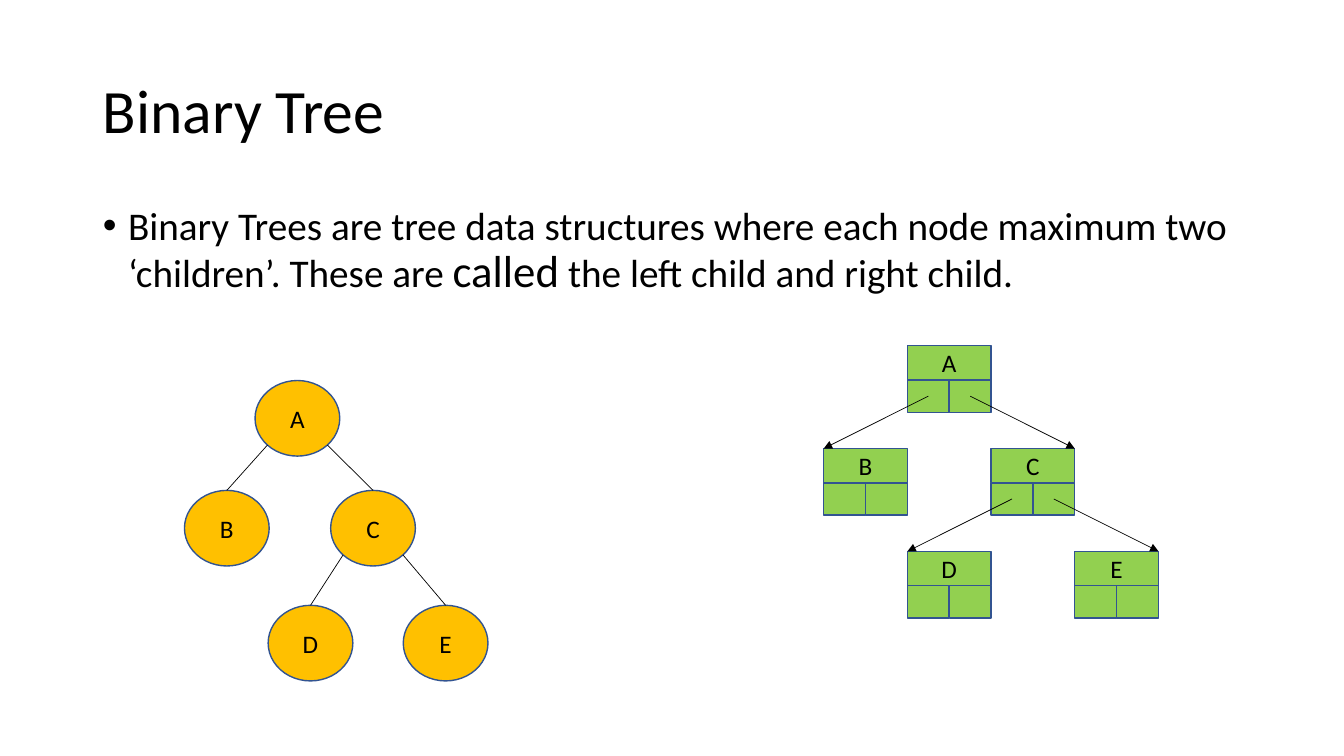
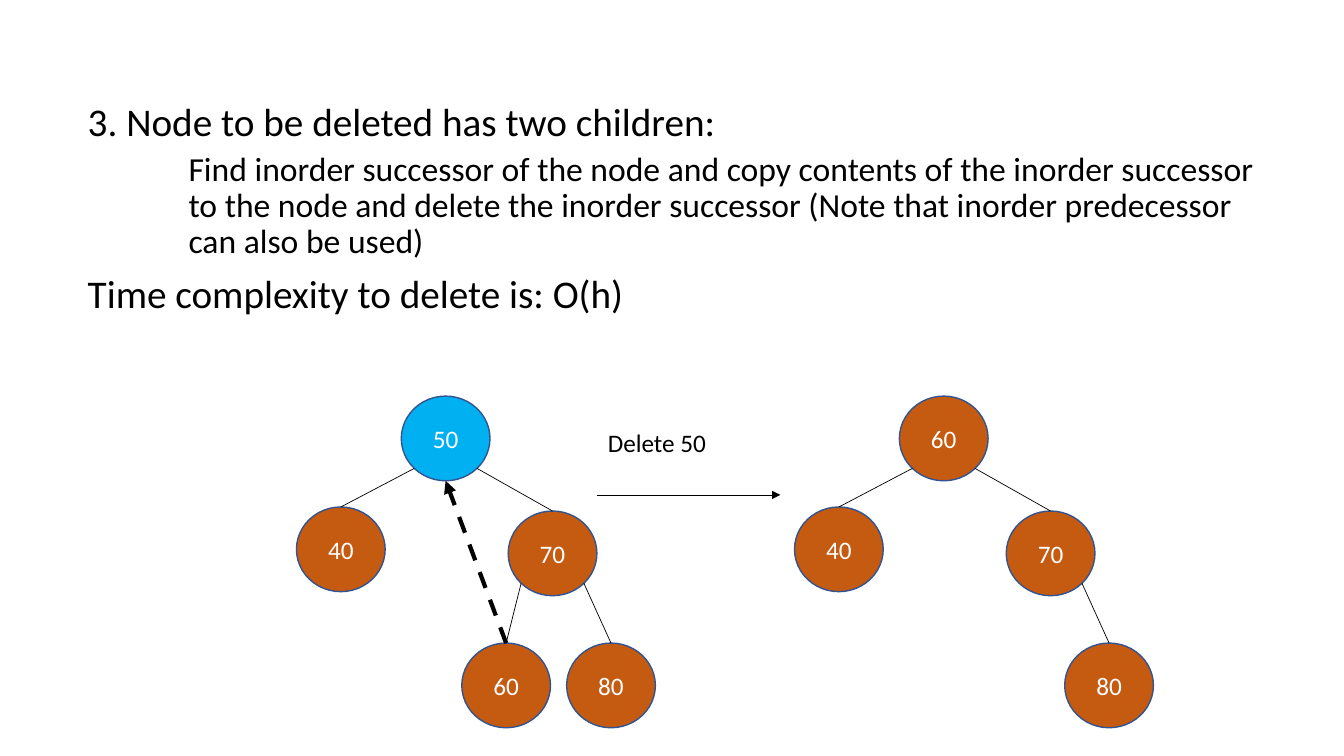
from math import sqrt

from lxml import etree
from pptx import Presentation
from pptx.dml.color import RGBColor
from pptx.enum.dml import MSO_LINE
from pptx.enum.shapes import MSO_CONNECTOR, MSO_SHAPE
from pptx.enum.text import MSO_ANCHOR, MSO_AUTO_SIZE, PP_ALIGN
from pptx.oxml.ns import qn
from pptx.util import Inches, Pt

OVAL, RECTANGLE = MSO_SHAPE.OVAL, MSO_SHAPE.RECTANGLE
STRAIGHT, DASH = MSO_CONNECTOR.STRAIGHT, MSO_LINE.DASH
LEFT, CENTER, MIDDLE = PP_ALIGN.LEFT, PP_ALIGN.CENTER, MSO_ANCHOR.MIDDLE
NO_FIT = MSO_AUTO_SIZE.NONE

FONT = "Calibri"
COLORS = {
    "text": "000000", "light": "FFFFFF", "outline": "325491",
    "amber": "FFC000", "green": "92D050", "rust": "C55A11", "blue": "00B0F0",
}
LABEL_SIZE = 18

# Paragraph: runs as (text, size), level, left margin, first-line indent, space before, bullet
INTRO = [
    ([("Binary Trees are tree data structures where each node maximum two ‘children’. These are ", 28),
      ("called", 32),
      (" the left child and right child.", 28)], 0, 0.25, -0.25, 0, "•"),
]
DELETION = [
    ([("3. Node to be deleted has two children:", 28)], 0, 0, 0, 0, None),
    ([("Find inorder successor of the node and copy contents of the inorder successor "
       "to the node and delete the inorder successor (Note that inorder predecessor "
       "can also be used)", 24)], 1, 1, 0, 5, None),
    ([("Time complexity to delete is: O(h)", 28)], 0, 0, 0, 10, None),
]

# Round nodes: label -> centre; edges: parent, child
LETTER_NODES = {"A": (2.95, 4.15), "B": (2.25, 5.24), "C": (3.7, 5.24),
                "D": (3.08, 6.38), "E": (4.42, 6.38)}
LETTER_EDGES = ["AB", "AC", "CD", "CE"]
LETTER_SIZE = (0.84, 0.75)

BEFORE_NODES = {"50": (4.42, 4.35), "40": (3.38, 5.45), "70": (5.48, 5.49),
                "60": (5.02, 6.8), "80": (6.06, 6.8)}
BEFORE_EDGES = [("50", "40"), ("50", "70"), ("70", "60"), ("70", "80")]
AFTER_EDGES = [("60", "40"), ("60", "70"), ("70", "80")]
NUMBER_SIZE = (0.88, 0.84)
AFTER_SHIFT = 4.94

# Linked records: label -> grid column, row; links: parent, child, side
RECORDS = {"A": (1, 0), "B": (0, 1), "C": (2, 1), "D": (1, 2), "E": (3, 2)}
LINKS = [("A", "B", 0), ("A", "C", 1), ("C", "D", 0), ("C", "E", 1)]
RECORD_ORIGIN, RECORD_STEP = (8.17, 3.43), (0.83, 1.02)
KEY_HEIGHT, POINTER_HEIGHT = 0.34, 0.32


def color(name):
    return RGBColor.from_string(COLORS[name])


def add_run(paragraph, text, size, color_name="text"):
    run = paragraph.add_run()
    run.text = text
    run.font.name, run.font.size = FONT, Pt(size)
    run.font.color.rgb = color(color_name)


def place(shape, left, top, width, height):
    shape.left, shape.top = Inches(left), Inches(top)
    shape.width, shape.height = Inches(width), Inches(height)


def fill_title(title, text):
    place(title, 0.92, 0.4, 11.5, 1.45)
    frame = title.text_frame
    frame.auto_size, frame.vertical_anchor = NO_FIT, MIDDLE
    paragraph = frame.paragraphs[0]
    paragraph.alignment, paragraph.line_spacing = LEFT, 0.9
    add_run(paragraph, text, 44)


def fill_body(body, box, paragraphs):
    place(body, *box)
    frame = body.text_frame
    frame.auto_size = NO_FIT
    for index, (runs, level, margin, indent, space, bullet) in enumerate(paragraphs):
        paragraph = frame.add_paragraph() if index else frame.paragraphs[0]
        paragraph.level, paragraph.line_spacing = level, 0.9
        paragraph.space_before = Pt(space)
        properties = paragraph._p.get_or_add_pPr()
        properties.set("marL", str(Inches(margin)))
        properties.set("indent", str(Inches(indent)))
        if bullet:
            font = etree.SubElement(properties, qn("a:buFont"))
            font.set("typeface", "Arial")
            etree.SubElement(properties, qn("a:buChar")).set("char", bullet)
        else:
            etree.SubElement(properties, qn("a:buNone"))
        for text, size in runs:
            add_run(paragraph, text, size)


def add_box(slide, kind, box, fill, label="", label_color="text"):
    shape = slide.shapes.add_shape(kind, *map(Inches, box))
    shape.shadow.inherit = False
    shape.fill.solid()
    shape.fill.fore_color.rgb = color(fill)
    shape.line.color.rgb = color("outline")
    shape.line.width = Pt(1)
    if label:
        frame = shape.text_frame
        frame.vertical_anchor = MIDDLE
        paragraph = frame.paragraphs[0]
        paragraph.alignment = CENTER
        add_run(paragraph, label, LABEL_SIZE, label_color)


def add_line(slide, start, end, width=0.5, arrow=False, dash=None):
    line = slide.shapes.add_connector(STRAIGHT, *map(Inches, (*start, *end)))
    line.line.color.rgb = color("text")
    line.line.width = Pt(width)
    if dash:
        line.line.dash_style = dash
    if arrow:
        etree.SubElement(line.line._get_or_add_ln(), qn("a:tailEnd")).set("type", "triangle")
    etree.SubElement(line._element.spPr, qn("a:effectLst"))


def draw_tree(slide, nodes, edges, size, fills, label_color):
    """Draw round nodes, and edges from each parent's lower diagonal to the child's top."""
    width, height = size
    for label, (x, y) in nodes.items():
        add_box(slide, OVAL, (x - width / 2, y - height / 2, width, height),
                fills[label], label, label_color)
    for parent, child in edges:
        (x, y), (child_x, child_y) = nodes[parent], nodes[child]
        side = 1 if child_x > x else -1
        start = (x + side * width / sqrt(8), y + height / sqrt(8))
        add_line(slide, start, (child_x, child_y - height / 2))


def draw_records(slide):
    """Draw each record as a key above two pointer cells, then the arrows between records."""
    width = RECORD_STEP[0]
    half = width / 2
    corners = {label: tuple(origin + step * index for origin, step, index
                            in zip(RECORD_ORIGIN, RECORD_STEP, cell))
               for label, cell in RECORDS.items()}
    for label, (left, top) in corners.items():
        add_box(slide, RECTANGLE, (left, top, width, KEY_HEIGHT), "green", label)
        for side in range(2):
            add_box(slide, RECTANGLE,
                    (left + side * half, top + KEY_HEIGHT, half, POINTER_HEIGHT), "green")
    for parent, child, side in LINKS:
        (left, top), (child_left, child_top) = corners[parent], corners[child]
        start = (left + (side + 0.5) * half, top + KEY_HEIGHT + POINTER_HEIGHT / 2)
        add_line(slide, start, (child_left + side * width, child_top), arrow=True)


def build_binary_tree(slide):
    fill_title(slide.shapes.title, "Binary Tree")
    fill_body(slide.placeholders[1], (0.92, 2, 12.02, 4.76), INTRO)
    draw_tree(slide, LETTER_NODES, LETTER_EDGES, LETTER_SIZE,
              dict.fromkeys(LETTER_NODES, "amber"), "text")
    draw_records(slide)


def build_deletion(slide):
    title = slide.shapes.title._element
    title.getparent().remove(title)
    fill_body(slide.placeholders[1], (0.77, 0.97, 11.88, 2.96), DELETION)

    fills = dict.fromkeys(BEFORE_NODES, "rust")
    draw_tree(slide, BEFORE_NODES, BEFORE_EDGES, NUMBER_SIZE, {**fills, "50": "blue"}, "light")
    after_nodes = {label: (x + AFTER_SHIFT, y) for label, (x, y)
                   in {**BEFORE_NODES, "60": BEFORE_NODES["50"]}.items() if label != "50"}
    draw_tree(slide, after_nodes, AFTER_EDGES, NUMBER_SIZE, fills, "light")

    add_line(slide, (5.92, 4.91), (7.74, 4.91), arrow=True)
    caption = slide.shapes.add_textbox(*map(Inches, (5.93, 4.19, 2.41, 0.57)))
    caption.text_frame.word_wrap = True
    add_run(caption.text_frame.paragraphs[0], "Delete 50", LABEL_SIZE)

    radius = NUMBER_SIZE[1] / 2
    (successor_x, successor_y), (root_x, root_y) = BEFORE_NODES["60"], BEFORE_NODES["50"]
    add_line(slide, (successor_x, successor_y - radius), (root_x, root_y + radius),
             width=3, arrow=True, dash=DASH)


def main():
    presentation = Presentation()
    presentation.slide_width, presentation.slide_height = Inches(13.33), Inches(7.5)
    title_and_content = presentation.slide_layouts[1]
    for build in (build_binary_tree, build_deletion):
        build(presentation.slides.add_slide(title_and_content))
    presentation.save("out.pptx")


if __name__ == "__main__":
    main()
